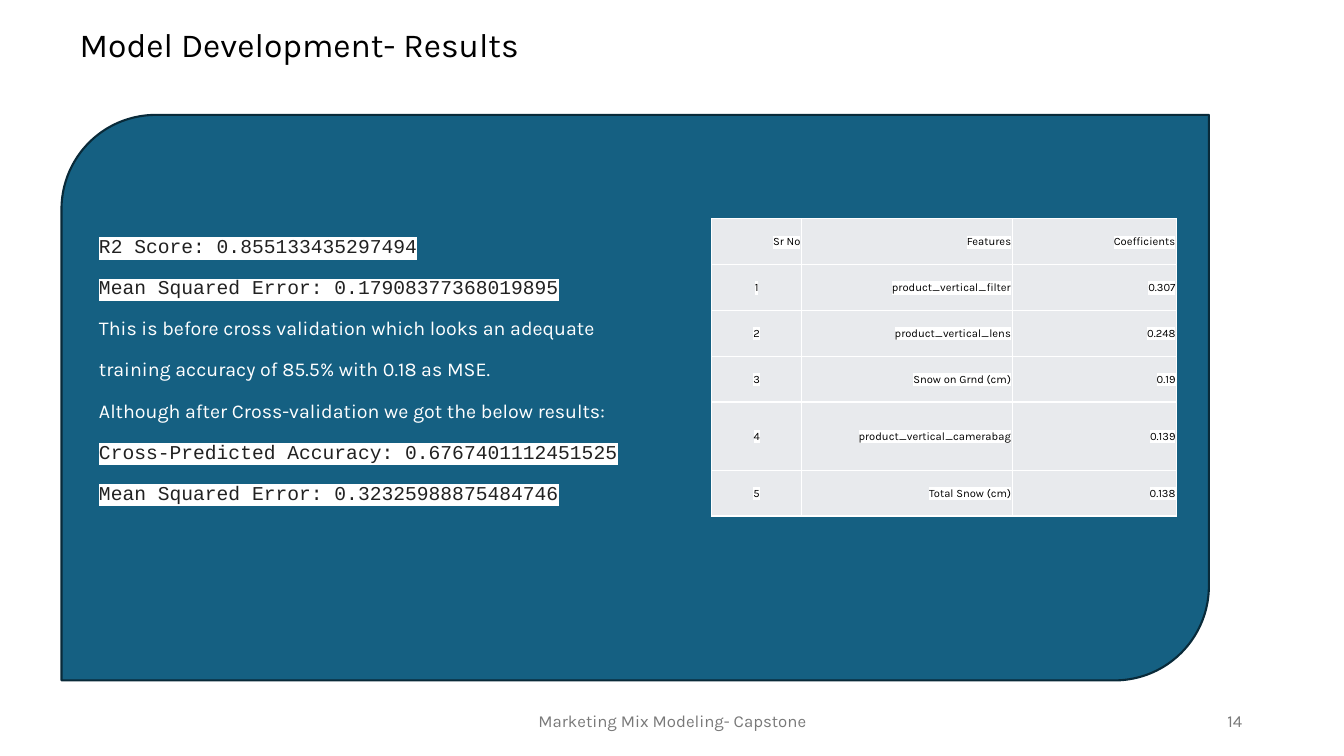
import pptx
import pptx.util
import pptx.dml.color
import pptx.enum.shapes
import pptx.enum.text
import pptx.oxml
import pptx.oxml.ns

Inches, Pt = pptx.util.Inches, pptx.util.Pt
RGBColor = pptx.dml.color.RGBColor
ALIGN, ANCHOR = pptx.enum.text.PP_ALIGN, pptx.enum.text.MSO_ANCHOR

BLACK = RGBColor(0x00, 0x00, 0x00)
WHITE = RGBColor(0xFF, 0xFF, 0xFF)
INK = RGBColor(0x21, 0x21, 0x21)
GREY = RGBColor(0x79, 0x79, 0x79)
BLUE = RGBColor(0x15, 0x60, 0x82)
NAVY = RGBColor(0x09, 0x2A, 0x39)
CELL = RGBColor(0xE8, 0xEA, 0xED)

RESULTS = [  # text, is program output
    ("R2 Score: 0.855133435297494", True),
    ("Mean Squared Error: 0.17908377368019895", True),
    ("This is before cross validation which looks an adequate", False),
    ("training accuracy of 85.5% with 0.18 as MSE.", False),
    ("Although after Cross-validation we got the below results:", False),
    ("Cross-Predicted Accuracy: 0.6767401112451525", True),
    ("Mean Squared Error: 0.32325988875484746", True),
]
COEFFICIENTS = [
    ("Sr No", "Features", "Coefficients"),
    ("1", "product_vertical_filter", "0.307"),
    ("2", "product_vertical_lens", "0.248"),
    ("3", "Snow on Grnd (cm)", "0.19"),
    ("4", "product_vertical_camerabag", "0.139"),
    ("5", "Total Snow (cm)", "0.138"),
]


class Deck:
    font, code_font = "Karla", "Courier New"

    def __init__(self):
        self.prs = pptx.Presentation()
        self.prs.slide_width, self.prs.slide_height = Inches(13.33), Inches(7.5)
        self.s = self.prs.slides.add_slide(self.prs.slide_layouts[5])

    def style(self, p, size, color, align=ALIGN.LEFT, font=None, highlight=None):
        p.alignment = align
        for r in p.runs:
            r.font.size, r.font.name = Pt(size), font or self.font
            r.font.color.rgb = color
            if highlight is not None:
                mark = pptx.oxml.parse_xml(
                    f'<a:highlight {pptx.oxml.ns.nsdecls("a")}>'
                    f'<a:srgbClr val="{highlight}"/></a:highlight>')
                r.font.fill._xPr.find(pptx.oxml.ns.qn("a:solidFill")).addnext(mark)

    def title(self, text, x, y, w, h):
        sp = self.s.shapes.title
        sp.left, sp.top, sp.width, sp.height = map(Inches, (x, y, w, h))
        tf = sp.text_frame
        tf.text = text
        tf.vertical_anchor = ANCHOR.TOP
        tf.auto_size = pptx.enum.text.MSO_AUTO_SIZE.NONE
        self.style(tf.paragraphs[0], 24, BLACK)

    def panel(self, lines, x, y, w, h):
        sp = self.s.shapes.add_shape(
            pptx.enum.shapes.MSO_SHAPE.ROUND_2_DIAG_RECTANGLE,
            *map(Inches, (x, y, w, h)))
        sp.shadow.inherit = False
        sp.fill.solid()
        sp.fill.fore_color.rgb = BLUE
        sp.line.color.rgb, sp.line.width = NAVY, Pt(1.5)
        tf = sp.text_frame
        tf.word_wrap, tf.vertical_anchor = True, ANCHOR.MIDDLE
        tf.margin_bottom = Inches(0.65)
        tf.text = "\n".join(text for text, _ in lines)
        for p, (_, is_output) in zip(tf.paragraphs, lines):
            p.line_spacing, p.space_after = 1.15, Pt(10)
            if is_output:
                self.style(p, 14, INK, font=self.code_font, highlight=WHITE)
            else:
                self.style(p, 14, WHITE)

    def table(self, rows, x, y, widths, heights):
        table = self.s.shapes.add_table(
            len(rows), len(widths),
            *map(Inches, (x, y, sum(widths), sum(heights)))).table
        for column, width in zip(table.columns, widths):
            column.width = Inches(width)
        for row, height in zip(table.rows, heights):
            row.height = Inches(height)
        for i, values in enumerate(rows):
            for j, value in enumerate(values):
                centred = i > 0 and j == 0
                self.cell(table.cell(i, j), value,
                          ALIGN.CENTER if centred else ALIGN.RIGHT)

    def cell(self, cell, text, align):
        cell.text = text
        cell.vertical_anchor = ANCHOR.MIDDLE
        cell.margin_left = cell.margin_right = cell.margin_top = Inches(0.01)
        cell.margin_bottom = 0
        cell.fill.solid()
        cell.fill.fore_color.rgb = CELL
        self.style(cell.text_frame.paragraphs[0], 8, BLACK, align, highlight=WHITE)
        for i, side in enumerate("LRTB"):
            border = pptx.oxml.parse_xml(
                f'<a:ln{side} {pptx.oxml.ns.nsdecls("a")} w="{Pt(1)}"><a:solidFill>'
                f'<a:srgbClr val="{WHITE}"/></a:solidFill></a:ln{side}>')
            cell._tc.get_or_add_tcPr().insert(i, border)

    def footer(self, text, x, w, align):
        tf = self.s.shapes.add_textbox(
            *map(Inches, (x, 6.95, w, 0.4))).text_frame
        tf.word_wrap, tf.vertical_anchor = True, ANCHOR.MIDDLE
        tf.text = text
        self.style(tf.paragraphs[0], 12, GREY, align)


def main():
    deck = Deck()
    deck.title("Model Development- Results", 0.69, 0.19, 4.86, 0.5)
    deck.panel(RESULTS, 0.61, 1.14, 11.38, 5.61)
    deck.table(COEFFICIENTS, 7.06, 2.17, [0.89, 2.09, 1.63],
               [0.455] * 4 + [0.675, 0.455])
    deck.footer("Marketing Mix Modeling- Capstone", 4.42, 4.5, ALIGN.CENTER)
    deck.footer("14", 9.42, 3, ALIGN.RIGHT)
    deck.prs.save("out.pptx")


if __name__ == "__main__":
    main()
